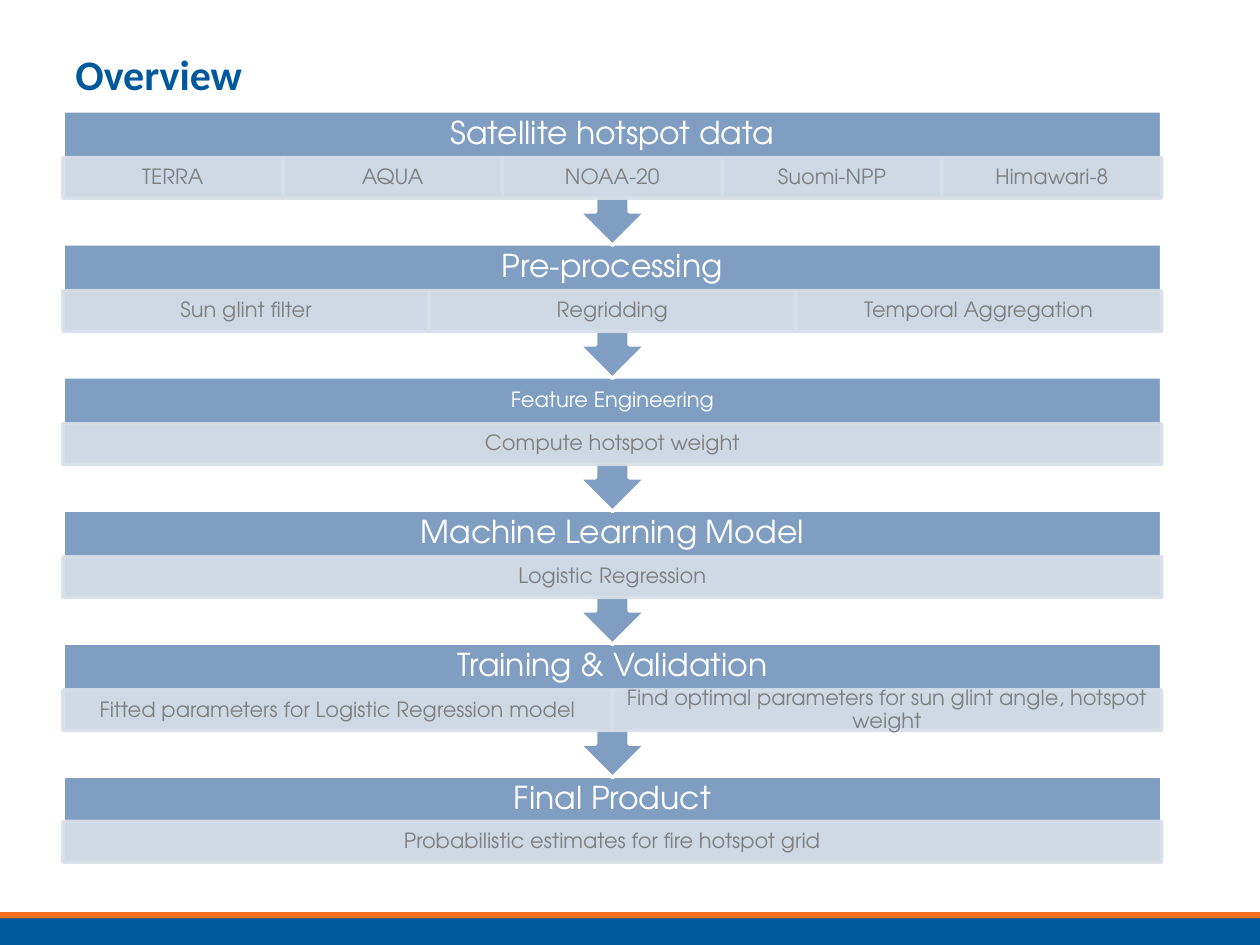
from lxml.etree import SubElement as Sub
from pptx import Presentation
from pptx.dml.color import RGBColor as RGB
from pptx.enum.shapes import MSO_SHAPE as Kind
from pptx.enum.text import MSO_ANCHOR as Anchor, PP_ALIGN as Align
from pptx.oxml.ns import qn
from pptx.util import Inches, Pt

WIDE, HIGH = 10, 7.5
LEFT, SPAN = 5, 87.2
TOP, STEP = 11.73, 14.08
HEAD, CELL = 4.95, 4.3
FONT = "TeX Gyre Adventor"
HUES = {
    "navy": "00589C", "orange": "F36F21", "steel": "809EC2",
    "pale": "D8DFE9", "grey": "7F7F7F", "white": "FFFFFF",
}
STAGES = [
    ("Satellite hotspot data", 18, ["TERRA", "AQUA", "NOAA-20", "Suomi-NPP", "Himawari-8"]),
    ("Pre-processing", 18, ["Sun glint filter", "Regridding", "Temporal Aggregation"]),
    ("Feature Engineering", 12, ["Compute hotspot weight"]),
    ("Machine Learning Model", 18, ["Logistic Regression"]),
    ("Training & Validation", 18, [
        "Fitted parameters for Logistic Regression model",
        "Find optimal parameters for sun glint angle, hotspot weight",
    ]),
    ("Final Product", 18, ["Probabilistic estimates for fire hotspot grid"]),
]


def hue(name):
    """Return the named colour."""
    return RGB.from_string(HUES[name])


def area(x, y, w, h):
    """Turn percentages of the slide into lengths."""
    return [Inches(part * side / 100) for part, side in zip((x, y, w, h), (WIDE, HIGH) * 2)]


def block(slide, kind, box, fill, edge=None):
    """Add a filled shape, outlined if an edge colour is given."""
    shape = slide.shapes.add_shape(kind, *area(*box))
    shape.shadow.inherit = False
    shape.fill.solid()
    shape.fill.fore_color.rgb = hue(fill)
    if edge:
        shape.line.color.rgb = hue(edge)
        shape.line.width = Pt(2)
    else:
        shape.line.fill.background()
    return shape


def fade(shape, share):
    """Set the opacity of fill and line in percent."""
    for tint in shape._element.spPr.iter(qn("a:srgbClr")):
        Sub(tint, qn("a:alpha"), val=str(share * 1000))


def write(shape, text, size, tone, pad, font=FONT, bold=False, align=Align.CENTER, lead=0.9):
    """Write one run, centred in height, with side and top insets."""
    frame = shape.text_frame
    frame.word_wrap = True
    frame.vertical_anchor = Anchor.MIDDLE
    frame.margin_left = frame.margin_right = Inches(pad[0])
    frame.margin_top = frame.margin_bottom = Inches(pad[1])
    para = frame.paragraphs[0]
    para.alignment, para.line_spacing = align, lead
    run = para.add_run()
    run.text = text
    run.font.name, run.font.size, run.font.bold = font, Pt(size), bold
    run.font.color.rgb = hue(tone)


def label(slide, box, *args, **more):
    """Add a text box."""
    write(slide.shapes.add_textbox(*area(*box)), *args, **more)


def stage(slide, row, name, size, items):
    """Add a header band with its row of equal cells."""
    y = TOP + row * STEP
    last = row == len(STAGES) - 1
    kind = Kind.RECTANGLE if last else Kind.UP_ARROW_CALLOUT
    band = block(slide, kind, (LEFT, y, SPAN, 9.2 if last else 14.24), "steel", "white")
    band.rotation = 0 if last else 180
    inset = 0.14 if size == 18 else 0.09
    label(slide, (LEFT, y, SPAN, HEAD), name, size, "white", (inset, inset))
    width = SPAN / len(items)
    drop = 4.8 if last else HEAD
    for col, item in enumerate(items):
        box = (LEFT + col * width, y + drop, width, CELL)
        cell = block(slide, Kind.RECTANGLE, box, "pale", "pale")
        fade(cell, 90)
        write(cell, item, 12, "grey", (0.09, 0.02))


def main():
    """Build and save the slide."""
    deck = Presentation()
    deck.slide_width, deck.slide_height = Inches(WIDE), Inches(HIGH)
    slide = deck.slides.add_slide(deck.slide_layouts[6])
    block(slide, Kind.RECTANGLE, (0, 97.07, 100, 2.93), "navy")
    block(slide, Kind.RECTANGLE, (0, 96.53, 100, 0.67), "orange")
    for row, parts in reversed(list(enumerate(STAGES))):
        stage(slide, row, *parts)
    label(slide, (LEFT, 4, 90, 7.6), "Overview", 24, "navy", (0.1, 0.05),
          font="Calibri", bold=True, align=Align.LEFT, lead=1.0)
    deck.save("out.pptx")


if __name__ == "__main__":
    main()
